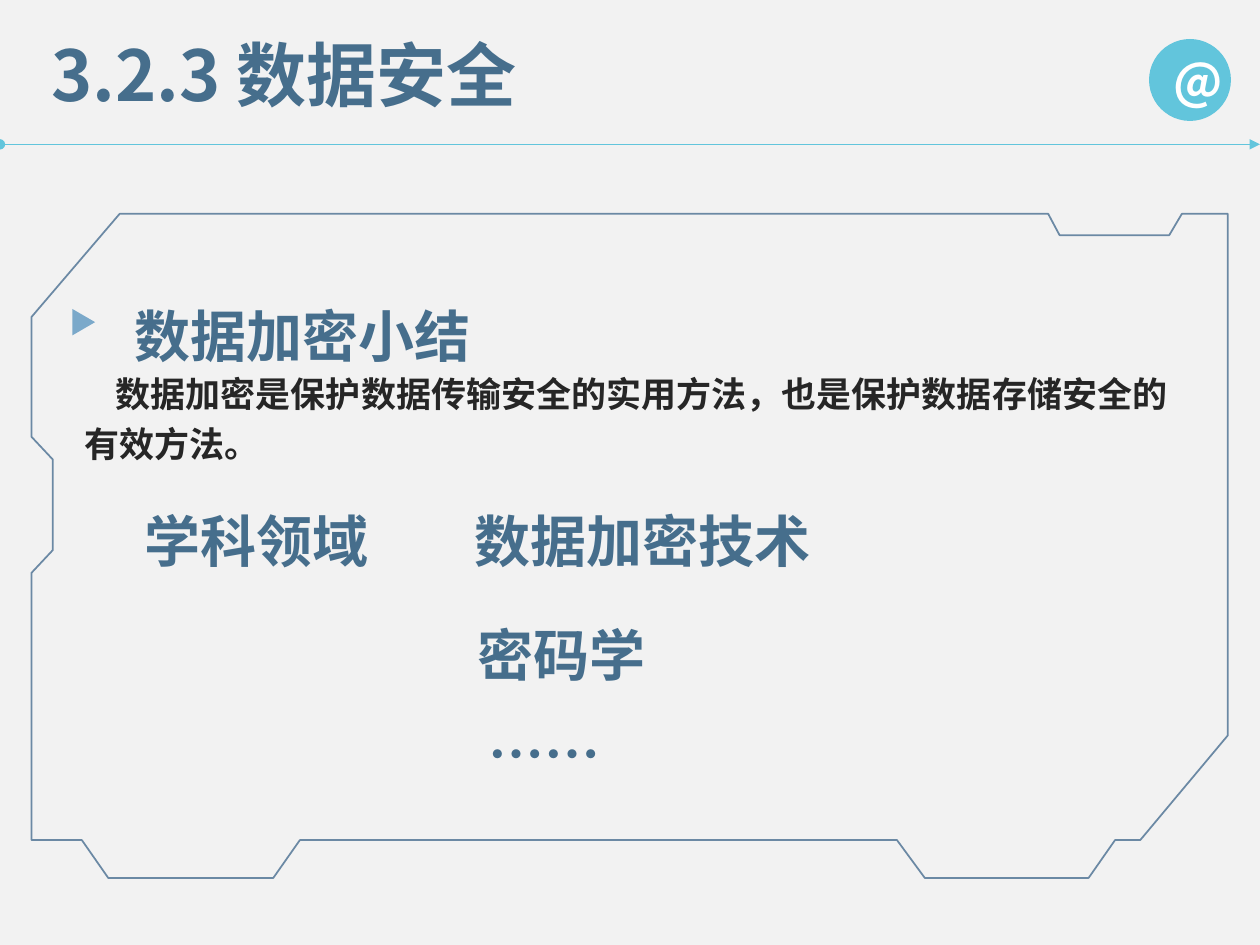
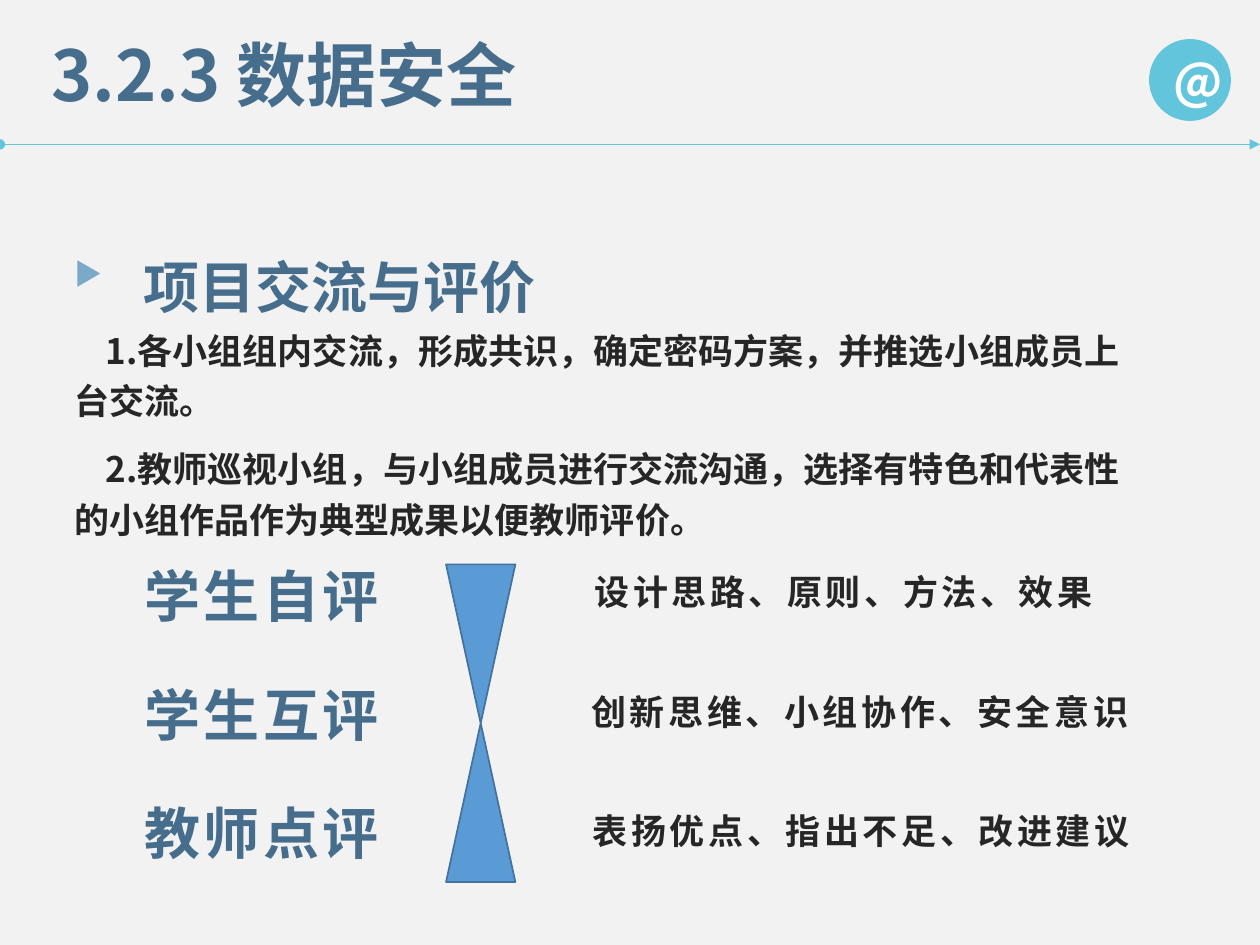
from dataclasses import dataclass, field

from lxml import etree
from pptx import Presentation
from pptx.dml.color import RGBColor
from pptx.enum.shapes import MSO_CONNECTOR, MSO_SHAPE
from pptx.enum.text import MSO_ANCHOR, MSO_AUTO_SIZE, PP_ALIGN
from pptx.oxml.ns import qn
from pptx.util import Pt

CENTER = PP_ALIGN.CENTER
MIDDLE = MSO_ANCHOR.MIDDLE
GROW = MSO_AUTO_SIZE.SHAPE_TO_FIT_TEXT
FIXED = MSO_AUTO_SIZE.NONE
ELLIPSE = MSO_SHAPE.OVAL
TRIANGLE = MSO_SHAPE.ISOSCELES_TRIANGLE
HOURGLASS = MSO_SHAPE.FLOWCHART_COLLATE
STRAIGHT = MSO_CONNECTOR.STRAIGHT

SLIDE_W, SLIDE_H = 720, 540


@dataclass(frozen=True)
class Theme:
    font: str = "Noto Sans CJK SC"
    background: str = "F2F2F2"
    heading: str = "466E8C"
    body: str = "262626"
    accent: str = "62C5DC"
    marker: str = "7BA9CA"
    frame: str = "1F4E79"
    frame_opacity: int = 64
    glass: str = "5B9BD5"
    glass_edge: str = "43739E"
    badge_text: str = "FFFFFF"
    # Each style: size, colour, letter spacing, paragraph format, frame format
    styles: dict = field(default_factory=lambda: {
        "title": (40, "heading", 0, {}, {"auto_size": GROW}),
        "topic": (32, "heading", 0, {"line_spacing": 1.5}, {"auto_size": GROW}),
        "body": (20, "body", 0, {"line_spacing": 1.2}, {"auto_size": GROW}),
        "points": (20, "body", 0, {"line_spacing": 1.2, "space_after": Pt(10)},
                   {"auto_size": GROW}),
        "reviewer": (32, "heading", 2, {"alignment": CENTER}, TIGHT),
        "criteria": (20, "body", 2, {"alignment": CENTER}, TIGHT),
        "badge": (28, "badge_text", 0, {"alignment": CENTER},
                  {"vertical_anchor": MIDDLE}),
    })


TIGHT = {"auto_size": FIXED, "margin_left": Pt(7.9), "margin_top": Pt(2.9),
         "margin_right": Pt(5.8), "margin_bottom": Pt(2.9)}
THEME = Theme()


def rgb(name):
    return RGBColor.from_string(getattr(THEME, name))


def apply(target, values):
    for attribute, value in values.items():
        setattr(target, attribute, value)


def write(shape, style, paragraphs, indent=0):
    """Fill a shape with paragraphs in one of the theme styles."""
    size, color, spacing, paragraph_format, frame_format = THEME.styles[style]
    text = shape.text_frame
    apply(text, {"word_wrap": True, **frame_format})
    for number, words in enumerate(paragraphs):
        paragraph = text.add_paragraph() if number else text.paragraphs[0]
        apply(paragraph, paragraph_format)
        if indent:
            paragraph._p.get_or_add_pPr().set("indent", str(Pt(indent)))
        run = paragraph.add_run()
        run.text = words
        apply(run.font, {"size": Pt(size), "bold": True, "name": THEME.font})
        run.font.color.rgb = rgb(color)
        properties = run._r.get_or_add_rPr()
        etree.SubElement(properties, qn("a:ea"), typeface=THEME.font)
        if spacing:
            properties.set("spc", str(spacing * 100))


def add_text(slide, box, style, *paragraphs, indent=0):
    write(slide.shapes.add_textbox(*map(Pt, box)), style, paragraphs, indent)


def paint(shape, fill=None, line=None):
    shape.shadow.inherit = False
    if fill:
        shape.fill.solid()
        shape.fill.fore_color.rgb = rgb(fill)
    else:
        shape.fill.background()
    if line:
        shape.line.color.rgb = rgb(line)
        shape.line.width = Pt(1)
    else:
        shape.line.fill.background()


def add_shape(slide, kind, box, fill, line=None):
    shape = slide.shapes.add_shape(kind, *map(Pt, box))
    paint(shape, fill, line)
    return shape


def add_header(slide, box):
    """Section title, round badge and arrowed rule along the box's lower edge."""
    left, top, width, height = box
    add_text(slide, (left + 22.3, top + 14.4, 498, 55.4), "title", "3.2.3 数据安全")

    rule_y = Pt(top + height)
    rule = slide.shapes.add_connector(STRAIGHT, Pt(left), rule_y,
                                      Pt(left + width), rule_y)
    rule.line.color.rgb = rgb("accent")
    rule.line.width = Pt(0.5)
    outline = rule.line._get_or_add_ln()
    for end, kind in (("a:headEnd", "oval"), ("a:tailEnd", "triangle")):
        etree.SubElement(outline, qn(end), type=kind)
    etree.SubElement(rule._element.spPr, qn("a:effectLst"))

    badge_box = (left + width - 63.4, top + 22.3, 46.8, 46.8)
    write(add_shape(slide, ELLIPSE, badge_box, "accent"), "badge", ["@"])


def add_marker(slide, left, top):
    """Triangle pointing right, placed before a topic."""
    add_shape(slide, TRIANGLE, (left, top, 15.1, 13), "marker").rotation = 90


def add_frame(slide, box):
    """Cut-corner outline with notches at top and left and tabs below."""
    left, top, right, low = box
    base = low - 21.6
    corners = [
        (50.4, 0), (581, 0), (587.5, 12.2), (650.2, 12.2), (657.4, 0), (right, 0),
        (right, 298.1), (633.6, base), (619.2, base), (604.1, low), (510.5, low),
        (494.6, base), (153.4, base), (138.2, low), (43.9, low), (28.8, base),
        (0, base), (0, 205.2), (12.2, 192.2), (12.2, 140.4), (0, 127.4), (0, 59),
    ]
    start, *others = [(Pt(x), Pt(y)) for x, y in corners]
    builder = slide.shapes.build_freeform(*start)
    builder.add_line_segments(others, close=True)
    frame = builder.convert_to_shape(Pt(left), Pt(top))
    paint(frame, line="frame")
    color = frame.line._get_or_add_ln().find(".//" + qn("a:srgbClr"))
    etree.SubElement(color, qn("a:alpha"), val=str(THEME.frame_opacity * 1000))


def add_summary(slide, box):
    """Framed summary of encryption with its related fields."""
    left, top = box[:2]
    add_frame(slide, box)
    add_marker(slide, left + 22.3, top + 55.4)
    add_text(slide, (left + 51.8, top + 27.4, 448, 65.5), "topic", "数据加密小结")
    add_text(slide, (left + 23, top + 82.1, 638, 65.5), "body",
             "数据加密是保护数据传输安全的实用方法，也是保护数据存储安全的有效方法。",
             indent=18)
    # Field label and the subjects under it
    for x, y, width, words in ((57.6, 144.7, 154, "学科领域"),
                               (246.2, 144.7, 265, "数据加密技术"),
                               (247.7, 209.5, 265, "密码学"),
                               (254.2, 266.4, 265, "……")):
        add_text(slide, (left + x, top + y, width, 56.2), "topic", words)


def add_project_notes(slide, box):
    """Topic line with the numbered steps of the exchange."""
    left, top, width, height = box
    add_marker(slide, left + 7.9, top + 28.1)
    add_text(slide, (left + 39.6, top, 448, 58.3), "topic", "项目交流与评价")
    add_text(slide, (left, top + 58.3, width, height - 58.3), "points",
             "1.各小组组内交流，形成共识，确定密码方案，并推选小组成员上台交流。",
             "2.教师巡视小组，与小组成员进行交流沟通，选择有特色和代表性的小组作品"
             "作为典型成果以便教师评价。",
             indent=18)


def add_reviews(slide, box):
    """Reviewers on the left, criteria on the right, hourglass between them."""
    left, top, _, height = box
    row_gap = 67.7
    rows = (("学生自评", 236.9, "设计思路、原则、方法、效果"),
            ("学生互评", 246.2, "创新思维、小组协作、安全意识"),
            ("教师点评", 247, "表扬优点、指出不足、改进建议"))
    for number, (reviewer, criteria_x, criteria) in enumerate(rows):
        y = top + number * row_gap
        add_text(slide, (left, y, 170, 34.6), "reviewer", reviewer)
        add_text(slide, (left + criteria_x, y + 4.7 + number * 0.8, 361.4, 34.6),
                 "criteria", criteria)
    add_shape(slide, HOURGLASS, (left + 191.5, top + 4.3, 39.6, height - 4.3),
              "glass", "glass_edge")


def new_slide(deck):
    slide = deck.slides.add_slide(deck.slide_layouts[6])
    slide.background.fill.solid()
    slide.background.fill.fore_color.rgb = rgb("background")
    add_header(slide, (0, 0, SLIDE_W, 82.5))
    return slide


def main():
    deck = Presentation()
    deck.slide_width, deck.slide_height = Pt(SLIDE_W), Pt(SLIDE_H)

    add_summary(new_slide(deck), (18, 122.2, 683.6, 379.5))

    evaluation = new_slide(deck)
    add_project_notes(evaluation, (35.3, 121.7, 621.4, 192.2))
    add_reviews(evaluation, (63.4, 318.2, 608.4, 185.8))

    deck.save("out.pptx")


if __name__ == "__main__":
    main()
